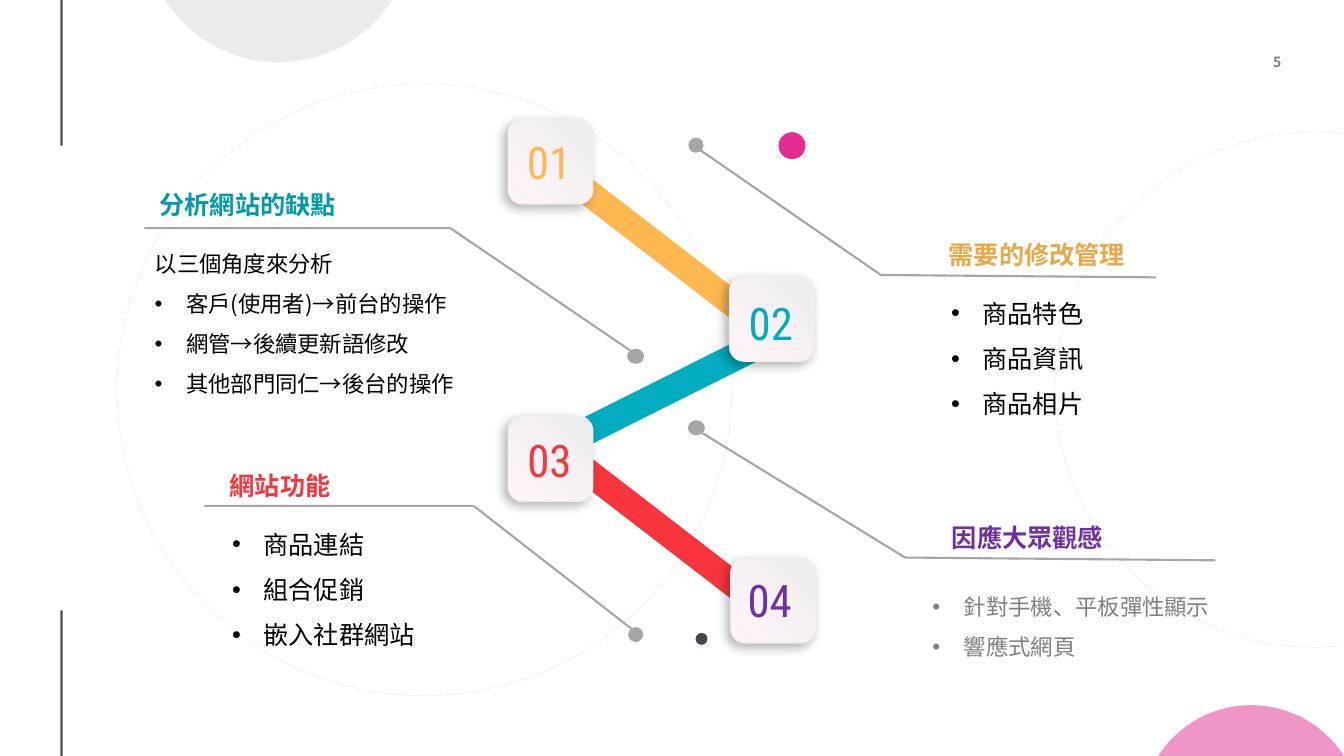
from dataclasses import dataclass
from math import asin, cos, sin, tan

from lxml import etree
from pptx import Presentation
from pptx.dml.color import RGBColor
from pptx.enum.dml import MSO_LINE
from pptx.enum.shapes import MSO_CONNECTOR, MSO_SHAPE
from pptx.enum.text import MSO_ANCHOR, PP_ALIGN
from pptx.oxml.ns import qn
from pptx.util import Cm, Pt

ELLIPSE = MSO_SHAPE.OVAL
RECTANGLE = MSO_SHAPE.RECTANGLE
ROUNDED = MSO_SHAPE.ROUNDED_RECTANGLE
STRAIGHT = MSO_CONNECTOR.STRAIGHT
DOTTED = MSO_LINE.ROUND_DOT
LEFT, RIGHT, JUSTIFY = PP_ALIGN.LEFT, PP_ALIGN.RIGHT, PP_ALIGN.JUSTIFY
MIDDLE = MSO_ANCHOR.MIDDLE

SLIDE_WIDTH, SLIDE_HEIGHT = 33.87, 19.05
TILE_SIZE = 2.13
BULLET_INDENT = 0.79


@dataclass(frozen=True)
class Theme:
    black: str = "000000"
    gray: str = "808080"
    callout: str = "A6A6A6"
    slate: str = "454551"
    pink: str = "E32D91"
    pale: str = "D8D9DC"
    yellow: str = "FFB850"
    amber: str = "E8A749"
    teal: str = "00ACBE"
    dark_teal: str = "009AAB"
    red: str = "F8353D"
    purple: str = "7030A0"
    tile_start: str = "EEEEEE"
    tile_end: str = "FEF4FA"
    body_font: str = "Noto Sans CJK JP"
    page_font: str = "Noto Sans CJK TC"
    number_font: str = "Roboto Condensed"
    number_size: int = 32
    heading_size: int = 18
    body_size: int = 16
    page_size: int = 10


THEME = Theme()


def rgb(value):
    return RGBColor.from_string(value)


def set_opacity(shape, percent):
    for color in shape.element.iter(qn("a:srgbClr")):
        etree.SubElement(color, qn("a:alpha"), val=str(percent * 1000))


def style(shape, fill=None, line=None, width=1.5):
    shape.shadow.inherit = False
    if fill:
        shape.fill.solid()
        shape.fill.fore_color.rgb = rgb(fill)
    else:
        shape.fill.background()
    if line:
        shape.line.color.rgb = rgb(line)
        shape.line.width = Pt(width)
    else:
        shape.line.fill.background()


def add_filled(shapes, kind, box, fill):
    shape = shapes.add_shape(kind, *map(Cm, box))
    style(shape, fill)
    return shape


def add_outline(shapes, points, closed):
    corners = [(Cm(x), Cm(y)) for x, y in points]
    builder = shapes.build_freeform(*corners[0], scale=1.0)
    builder.add_line_segments(corners[1:], close=closed)
    return builder.convert_to_shape()


def add_margin_line(slide, top, bottom):
    line = slide.shapes.add_connector(STRAIGHT, Cm(1.55), Cm(top), Cm(1.55), Cm(bottom))
    line.line.color.rgb = rgb(THEME.black)
    line.line.width = Pt(1.5)
    set_opacity(line, 70)
    etree.SubElement(line.element.spPr, qn("a:effectLst"))


def add_ring(slide, *box):
    ring = slide.shapes.add_shape(ELLIPSE, *map(Cm, box))
    style(ring, line=THEME.black, width=0.5)
    ring.line.dash_style = DOTTED
    set_opacity(ring, 10)


def add_cap(slide, center, edge, half_chord, depth, inward, color):
    """Draw the part of a circle that shows at a slide edge; inward is 1 down, -1 up."""
    apex = edge + inward * depth
    cap = add_outline(slide.shapes, [(center - half_chord, edge), (center, apex),
                                     (center + half_chord, edge)], closed=True)
    radius = (half_chord ** 2 + depth ** 2) / (2 * depth)
    angle = asin(half_chord / radius)
    handle = radius * 4 / 3 * tan(angle / 4)
    reach, rise = handle * cos(angle), inward * handle * sin(angle)
    curves = [[(reach - half_chord, edge + rise), (-handle, apex), (0, apex)],
              [(handle, apex), (half_chord - reach, edge + rise), (half_chord, edge)]]
    sides = list(cap.element.iter(qn("a:lnTo")))
    for side, curve in zip(sides, curves):
        arc = etree.Element(qn("a:cubicBezTo"))
        for x, y in curve:
            etree.SubElement(arc, qn("a:pt"), x=str(Cm(x + half_chord)),
                             y=str(Cm(y - min(edge, apex))))
        side.getparent().replace(side, arc)
    style(cap, color)
    set_opacity(cap, 50)


def add_text(shapes, box, lines, size, color, font=THEME.body_font, bold=False,
             align=LEFT, wrap=True, spacing=None, first_bullet=None):
    """Write one paragraph a line; lines from first_bullet onward get bullets."""
    text_box = shapes.add_textbox(*map(Cm, box))
    frame = text_box.text_frame
    frame.word_wrap = wrap
    for index, line in enumerate(lines):
        paragraph = frame.paragraphs[0] if index == 0 else frame.add_paragraph()
        paragraph.alignment = align
        if spacing:
            paragraph.line_spacing = spacing
        if first_bullet is not None and index >= first_bullet:
            add_bullet(paragraph)
        run = paragraph.add_run()
        run.text = line
        run.font.size = Pt(size)
        run.font.bold = bold
        run.font.color.rgb = rgb(color)
        run.font.name = font
        etree.SubElement(run.font._element, qn("a:ea"), typeface=font)
    return frame


def add_bullet(paragraph):
    properties = paragraph._p.get_or_add_pPr()
    properties.set("marL", str(Cm(BULLET_INDENT)))
    properties.set("indent", str(-Cm(BULLET_INDENT)))
    etree.SubElement(properties, qn("a:buFont"), typeface="Arial")
    etree.SubElement(properties, qn("a:buChar"), char="•")


def add_page_number(slide):
    frame = add_text(slide.shapes, (30.33, 1.22, 1.96, 0.69), ["5"], THEME.page_size,
                     THEME.gray, THEME.page_font, bold=True, align=RIGHT)
    frame.margin_left = frame.margin_right = frame.margin_top = frame.margin_bottom = 0
    frame.vertical_anchor = MIDDLE


def add_bar(slide, box, angle, color):
    add_filled(slide.shapes, RECTANGLE, box, color).rotation = angle


def add_tile(slide, left, top, number, color, label_left, label_top):
    shapes = slide.shapes.add_group_shape().shapes
    tile = shapes.add_shape(ROUNDED, Cm(left), Cm(top), Cm(TILE_SIZE), Cm(TILE_SIZE))
    style(tile, line=THEME.tile_start, width=1)
    tile.fill.gradient()
    tile.fill.gradient_angle = 225
    for stop, stop_color in zip(tile.fill.gradient_stops, (THEME.tile_start, THEME.tile_end)):
        stop.color.rgb = rgb(stop_color)
    effects = tile.element.spPr.find(qn("a:effectLst"))
    shadow = etree.SubElement(effects, qn("a:outerShdw"), blurRad=str(Pt(8)),
                              dist=str(Pt(4)), dir="8100000", algn="tr", rotWithShape="0")
    shadow_color = etree.SubElement(shadow, qn("a:srgbClr"), val=THEME.black)
    etree.SubElement(shadow_color, qn("a:alpha"), val="30000")
    add_text(shapes, (label_left, label_top, 1.93, 1.63), [number],
             THEME.number_size, color, THEME.number_font)


def add_callout(slide, points, dot_width):
    shapes = slide.shapes.add_group_shape().shapes
    style(add_outline(shapes, points, closed=False), line=THEME.callout)
    (tip_x, tip_y), (elbow_x, _) = points[:2]
    center = tip_x + (0.07 if elbow_x > tip_x else -0.08)
    add_filled(shapes, ELLIPSE, (center - dot_width / 2, tip_y - 0.19, dot_width, 0.38),
               THEME.callout)


def add_topic(slide, heading_box, heading, color, body_box, lines, size,
              body_color=THEME.black, align=LEFT, first_bullet=0):
    add_text(slide.shapes, heading_box, [heading], THEME.heading_size, color,
             bold=True, wrap=False)
    add_text(slide.shapes, body_box, lines, size, body_color, align=align,
             spacing=1.5, first_bullet=first_bullet)


def main():
    presentation = Presentation()
    presentation.slide_width, presentation.slide_height = Cm(SLIDE_WIDTH), Cm(SLIDE_HEIGHT)
    slide = presentation.slides.add_slide(presentation.slide_layouts[6])

    add_margin_line(slide, 15.38, SLIDE_HEIGHT)
    add_page_number(slide)
    add_margin_line(slide, 0, 3.67)
    add_ring(slide, 26.59, 3.33, 13.06, 12.98)
    add_ring(slide, 2.95, 2.11, 15.49, 15.42)
    add_filled(slide.shapes, ELLIPSE, (17.53, 15.95, 0.3, 0.3), THEME.slate)
    add_filled(slide.shapes, ELLIPSE, (19.62, 3.33, 0.68, 0.68), THEME.pink)
    add_cap(slide, 31.53, SLIDE_HEIGHT, 2.34, 1.28, -1, THEME.pink)
    add_cap(slide, 7.02, 0, 2.86, 1.57, 1, THEME.pale)

    add_bar(slide, (13.7, 9.5, 6.25, 0.69), 153.4, THEME.teal)
    add_bar(slide, (12.93, 12.83, 7.06, 0.66), 37.6, THEME.red)
    add_bar(slide, (12.94, 5.79, 7.06, 0.66), 37.6, THEME.yellow)

    add_tile(slide, 12.81, 3.01, "01", THEME.yellow, 13.03, 3.28)
    add_tile(slide, 18.39, 6.97, "02", THEME.teal, 18.62, 7.33)
    add_tile(slide, 12.81, 10.5, "03", THEME.red, 13.04, 10.77)
    add_tile(slide, 18.42, 14.07, "04", THEME.purple, 18.59, 14.3)

    add_callout(slide, [(16.1, 8.98), (11.35, 5.75), (3.64, 5.75)], 0.43)
    add_callout(slide, [(16.1, 15.99), (11.94, 12.75), (5.15, 12.75)], 0.38)
    add_callout(slide, [(17.48, 10.78), (22.81, 14.05), (30.63, 14.12)], 0.43)
    add_callout(slide, [(17.47, 3.66), (22.2, 6.93), (29.13, 6.99)], 0.38)

    add_topic(slide, (23.66, 5.9, 5, 1.02), "需要的修改管理", THEME.amber,
              (23.72, 7, 5.61, 3.61), ["商品特色", "商品資訊", "商品相片"],
              THEME.heading_size)
    add_topic(slide, (23.74, 13.03, 4.37, 1.02), "因應大眾觀感", THEME.purple,
              (23.25, 14.48, 7.85, 2.18), ["針對手機、平板彈性顯示", "響應式網頁"],
              THEME.body_size, THEME.gray, JUSTIFY)
    add_topic(slide, (5.54, 11.73, 3.07, 1.02), "網站功能", THEME.red,
              (5.6, 12.82, 5.61, 3.61), ["商品連結", "組合促銷", "嵌入社群網站"],
              THEME.heading_size)
    add_topic(slide, (3.77, 4.65, 5, 1.02), "分析網站的缺點", THEME.dark_teal,
              (3.65, 5.83, 8.46, 4.24),
              ["以三個角度來分析", "客戶(使用者)→前台的操作", "網管→後續更新語修改",
               "其他部門同仁→後台的操作"], THEME.body_size, first_bullet=1)

    presentation.save("out.pptx")


if __name__ == "__main__":
    main()
